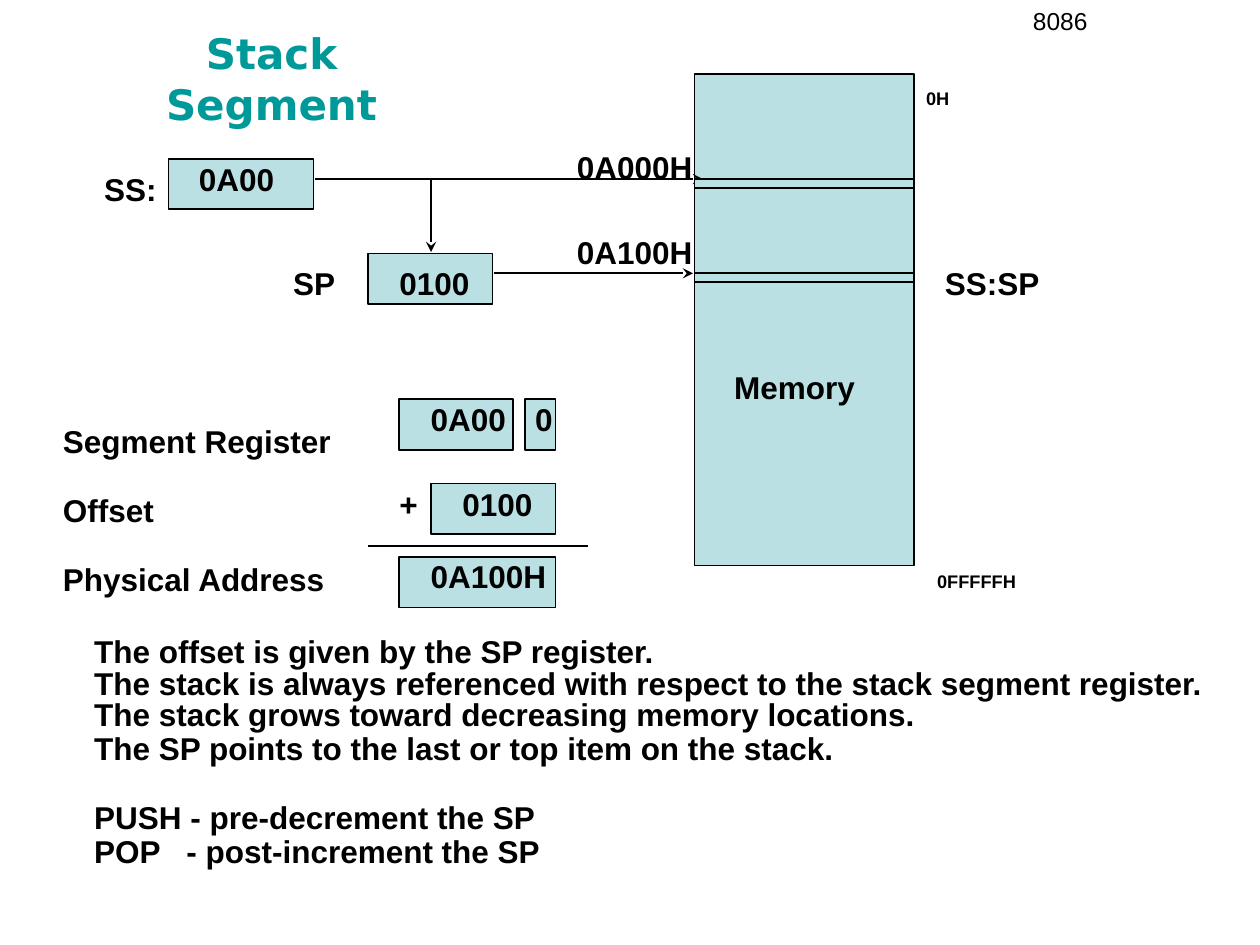
from lxml import etree
from pptx import Presentation
from pptx.dml.color import RGBColor
from pptx.enum.shapes import MSO_CONNECTOR, MSO_SHAPE
from pptx.enum.text import MSO_AUTO_SIZE, PP_ALIGN
from pptx.oxml.ns import qn
from pptx.util import Cm, Pt

BLACK = RGBColor(0x00, 0x00, 0x00)
TEAL = RGBColor(0x00, 0x99, 0x99)
PALE_TEAL = RGBColor(0xBB, 0xE0, 0xE3)

ROW_GAP = Pt(20)  # stands for one skipped line
POP_TAB = Cm(1.86)  # lines the POP dash up with the PUSH dash


def add_block(left, top, width, height):
    block = slide.shapes.add_shape(
        MSO_SHAPE.RECTANGLE, Cm(left), Cm(top), Cm(width), Cm(height))
    block.shadow.inherit = False
    block.fill.solid()
    block.fill.fore_color.rgb = PALE_TEAL
    block.line.color.rgb = BLACK
    block.line.width = Pt(1)


def add_label(left, top, width, height, rows, gap_rows=(), baseline=None):
    frame = slide.shapes.add_textbox(
        Cm(left), Cm(top), Cm(width), Cm(height)).text_frame
    frame.word_wrap = False
    frame.auto_size = MSO_AUTO_SIZE.SHAPE_TO_FIT_TEXT
    for index, row in enumerate(rows):
        paragraph = frame.paragraphs[0] if index == 0 else frame.add_paragraph()
        paragraph.line_spacing = 0.9
        if index in gap_rows:
            paragraph.space_before = ROW_GAP
        if "\t" in row:
            tabs = etree.SubElement(paragraph._p.get_or_add_pPr(), qn("a:tabLst"))
            etree.SubElement(tabs, qn("a:tab"), pos=str(POP_TAB), algn="l")
        run = paragraph.add_run()
        run.text = row
        run.font.name = "Arial"
        run.font.size = Pt(18)
        run.font.bold = True
        run.font.color.rgb = BLACK
        if baseline:
            run._r.get_or_add_rPr().set("baseline", str(baseline))


prs = Presentation()
prs.slide_width = Cm(25.4)
prs.slide_height = Cm(19.05)
slide = prs.slides.add_slide(prs.slide_layouts[6])

# Header and title
for left, top, width, height, inset, text, font, size, bold, color in (
    (17.35, 0, 8.05, 1.32, (0.25, 0.13), "8086", "Arial", 14, False, BLACK),
    (2.16, 0.48, 6.63, 1.17, (0.18, 0.08), "Stack Segment", "DejaVu Sans", 24, True, TEAL),
):
    heading = slide.shapes.add_textbox(Cm(left), Cm(top), Cm(width), Cm(height)).text_frame
    heading.word_wrap = True
    heading.margin_left = heading.margin_right = Cm(inset[0])
    heading.margin_top = heading.margin_bottom = Cm(inset[1])
    heading.paragraphs[0].alignment = PP_ALIGN.CENTER
    run = heading.paragraphs[0].add_run()
    run.text = text
    run.font.name = font
    run.font.size = Pt(size)
    run.font.bold = bold
    run.font.color.rgb = color

# Memory, registers and the boxes of the address sum
add_block(14, 1.5, 4.42, 9.9)
for left, top, width in (
    (3.4, 3.2, 2.92), (7.42, 5.11, 2.51),
    (8.05, 8.05, 2.29), (10.59, 8.05, 0.61),
    (8.69, 9.75, 2.51), (8.05, 11.23, 3.15),
):
    add_block(left, top, width, 1.02)

# Pointers and the sum line
for x1, y1, x2, y2, pointed in (
    (6.35, 3.61, 6.58, 3.61, False),
    (6.58, 3.61, 14.17, 3.61, True),
    (8.69, 3.61, 8.69, 5.08, True),
    (9.96, 5.51, 13.97, 5.51, True),
    (7.42, 11, 11.86, 11, False),
):
    pointer = slide.shapes.add_connector(
        MSO_CONNECTOR.STRAIGHT, Cm(x1), Cm(y1), Cm(x2), Cm(y2))
    pointer.line.color.rgb = BLACK
    pointer.line.width = Pt(1)
    if pointed:
        etree.SubElement(pointer.line._get_or_add_ln(), qn("a:tailEnd"), type="stealth")
    etree.SubElement(pointer._element.spPr, qn("a:effectLst"))

# Addressed memory cells
for top in (3.61, 5.51):
    add_block(14, top, 4.42, 0.18)

# Single-line labels and values
for left, top, width, text in (
    (14.55, 7.39, 2.95, "Memory"),
    (7.8, 9.73, 0.89, "+"),
    (1.85, 3.38, 1.57, "SS:"),
    (5.66, 5.28, 1.37, "SP"),
    (3.76, 3.18, 2.03, "0A00"),
    (7.8, 5.28, 1.93, "0100"),
    (11.38, 2.95, 2.84, "0A000H"),
    (11.38, 4.65, 2.84, "0A100H"),
    (8.43, 8.03, 2.03, "0A00"),
    (10.54, 8.03, 0.86, "0"),
    (9.07, 9.73, 1.93, "0100"),
    (8.43, 11.2, 2.84, "0A100H"),
    (18.8, 5.28, 2.41, "SS:SP"),
    (1.65, 12.7, 11.84, "The offset is given by the SP register."),
    (1.65, 13.34, 22.89,
     "The stack is always referenced with respect to the stack segment register."),
):
    add_label(left, top, width, 0.94, [text])

# Memory limits
add_label(18.42, 1.22, 0.99, 1.04, ["0H"], baseline=-25000)
add_label(18.64, 10.95, 2.11, 1.04, ["0FFFFFH"], baseline=-25000)

# Names of the sum's rows
add_label(1.02, 8.46, 5.92, 3.68,
          ["Segment Register", "Offset", "Physical Address"], gap_rows=(1, 2))

# Stack behaviour
add_label(1.65, 13.97, 17.07, 3.68, [
    "The stack grows toward decreasing memory locations.",
    "The SP points to the last or top item on the stack.",
    "PUSH - pre-decrement the SP",
    "POP\t- post-increment the SP",
], gap_rows=(2,))

prs.save("out.pptx")
